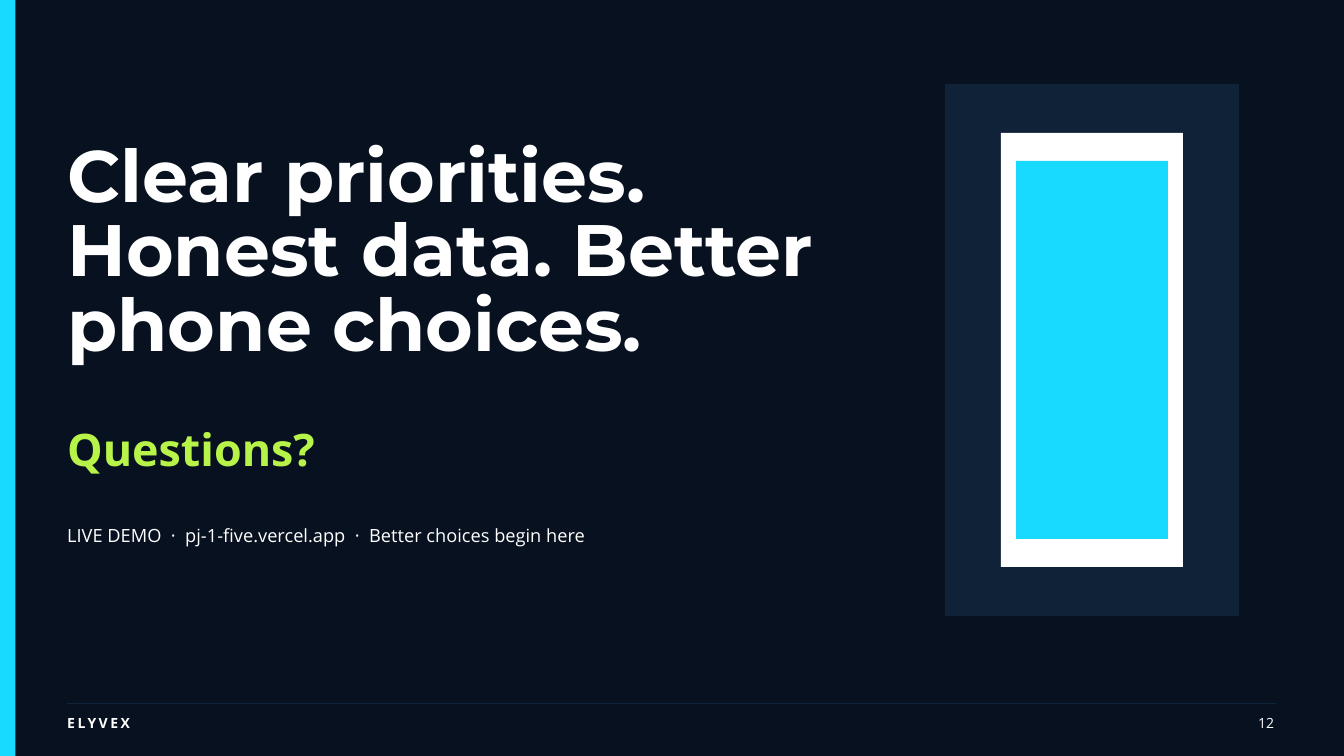
import pptx
import pptx.dml.color
import pptx.enum.shapes
import pptx.enum.text
import pptx.util

Pt = pptx.util.Pt
Align = pptx.enum.text.PP_ALIGN

HUES = {
    "night": "07111F",
    "navy": "102238",
    "cyan": "18D9FF",
    "lime": "B8F34A",
    "white": "FFFFFF",
}
WIDE, HIGH = 1440, 810
EDGE = 72  # left and right margin
HEAD, BODY = "Montserrat", "Open Sans"

# Phone layers share one centre: width, height, hue
PHONE_MID = (1170, 375)
PHONE = [(315, 570, "navy"), (195, 465, "white"), (162.5, 405, "cyan")]

# left, top, width, height, hue
BARS = [
    (0, 0, 16.5, HIGH, "cyan"),
    (EDGE, 753, WIDE - 2 * EDGE, 1.5, "navy"),
]

TITLE = dict(words="Clear priorities. Honest data. Better phone choices.",
             area=(EDGE, 153, 840, 242), size=78, line=79.6, font=HEAD, bold=True)
ASK = dict(words="Questions?", area=(EDGE, 447, 525, 60.5),
           size=48, line=62.4, hue="lime", bold=True)
NOTES = [
    dict(words="LIVE DEMO  ·  pj-1-five.vercel.app  ·  Better choices begin here",
         area=(EDGE, 560, 600, 25.5), size=19.5, line=25.4),
    dict(words="ELYVEX", area=(EDGE, 762.5, 195, 20), size=15, line=21,
         bold=True, track=2.7),
    dict(words="12", area=(1305, 762.5, 60, 20), size=15, line=21,
         align=Align.RIGHT),
]


def shade(fill, hue):
    fill.solid()
    fill.fore_color.rgb = pptx.dml.color.RGBColor.from_string(HUES[hue])


def add_bar(slide, left, top, width, height, hue):
    bar = slide.shapes.add_shape(
        pptx.enum.shapes.MSO_SHAPE.RECTANGLE,
        Pt(left), Pt(top), Pt(width), Pt(height))
    bar.shadow.inherit = False
    shade(bar.fill, hue)
    bar.line.fill.background()


def write(shape, words, area, size, line, font=BODY, hue="white",
          bold=False, align=Align.LEFT, track=0):
    """Place a text shape and fill it; track is letter spacing in points."""
    shape.left, shape.top, shape.width, shape.height = map(Pt, area)
    frame = shape.text_frame
    frame.margin_left = frame.margin_right = 0
    frame.margin_top = frame.margin_bottom = 0
    frame.word_wrap = True
    frame.auto_size = pptx.enum.text.MSO_AUTO_SIZE.NONE
    frame.vertical_anchor = pptx.enum.text.MSO_ANCHOR.TOP
    para = frame.paragraphs[0]
    para.alignment = align
    para.line_spacing = Pt(line)
    para.space_before = Pt(0)
    run = para.add_run()
    run.text = words
    run.font.name = font
    run.font.size = Pt(size)
    run.font.bold = bold
    shade(run.font.fill, hue)
    if track:
        run.font._element.set("spc", str(round(track * 100)))


def main():
    deck = pptx.Presentation()
    deck.slide_width, deck.slide_height = Pt(WIDE), Pt(HIGH)
    slide = deck.slides.add_slide(deck.slide_layouts[0])
    shade(slide.background.fill, "night")

    for bar in BARS:
        add_bar(slide, *bar)
    mid_x, mid_y = PHONE_MID
    for width, height, hue in PHONE:
        add_bar(slide, mid_x - width / 2, mid_y - height / 2, width, height, hue)

    write(slide.shapes.title, **TITLE)
    write(slide.placeholders[1], **ASK)
    for note in NOTES:
        write(slide.shapes.add_textbox(0, 0, 0, 0), **note)
    deck.save("out.pptx")


if __name__ == "__main__":
    main()
